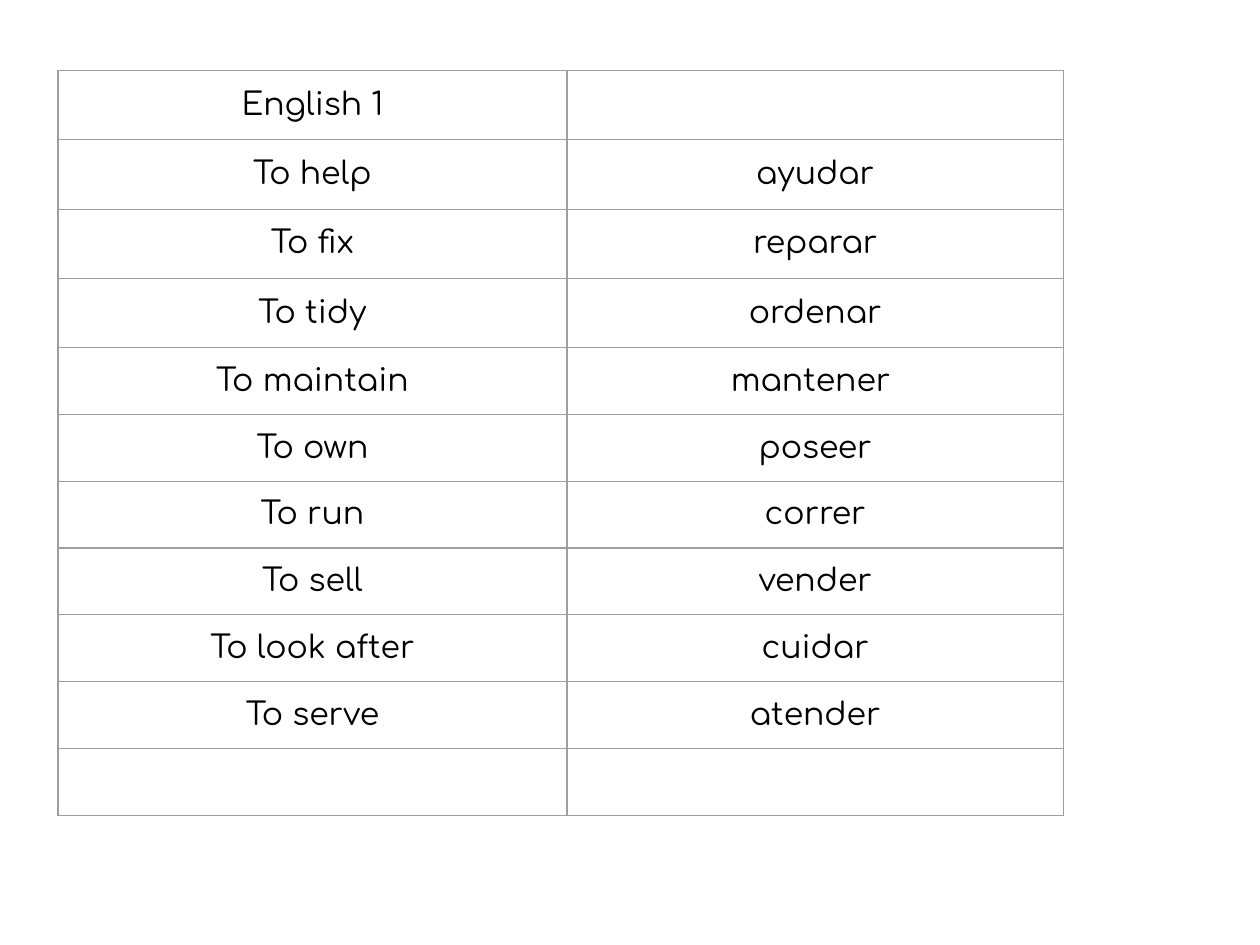
from lxml.etree import SubElement
from pptx import Presentation
from pptx.dml.color import RGBColor
from pptx.enum.text import MSO_ANCHOR, PP_ALIGN
from pptx.oxml.ns import qn
from pptx.util import Inches, Pt

COLORS = {"text": "000000", "border": "9E9E9E"}
FONT = "Comfortaa"
LEFT, TOP = 0.46, 0.56
COLUMN_WIDTHS = [4.04, 3.94]
TALL_ROWS, TALL, SHORT = 4, 0.55, 0.53
PADDING = 0.1

VOCABULARY = [
    ("English 1", ""),
    ("To help", "ayudar"),
    ("To fix", "reparar"),
    ("To tidy", "ordenar"),
    ("To maintain", "mantener "),
    ("To own", "poseer"),
    ("To run", "correr"),
    ("To sell", "vender"),
    ("To look after", "cuidar"),
    ("To serve", "atender"),
    ("", ""),
]


def write_text(frame, text, size=18, color="text", align=PP_ALIGN.CENTER):
    paragraph = frame.paragraphs[0]
    paragraph.alignment = align
    if not text:
        return
    word = paragraph.add_run()
    word.text = text
    word.font.name = FONT
    word.font.size = Pt(size)
    word.font.color.rgb = RGBColor.from_string(COLORS[color])


def add_borders(cell, color="border", width=0.75):
    properties = cell._tc.get_or_add_tcPr()
    for side in ("a:lnL", "a:lnR", "a:lnT", "a:lnB"):
        line = SubElement(properties, qn(side), w=str(Pt(width)))
        fill = SubElement(line, qn("a:solidFill"))
        SubElement(fill, qn("a:srgbClr"), val=COLORS[color])


def format_cell(cell):
    """Border the cell, clear its fill and centre its content vertically."""
    add_borders(cell)
    cell.fill.background()
    cell.vertical_anchor = MSO_ANCHOR.MIDDLE
    cell.margin_left = cell.margin_right = Inches(PADDING)
    cell.margin_top = cell.margin_bottom = Inches(PADDING)


def add_vocabulary_table(slide, entries):
    heights = [TALL if row < TALL_ROWS else SHORT for row in range(len(entries))]
    table = slide.shapes.add_table(
        len(entries), len(COLUMN_WIDTHS), Inches(LEFT), Inches(TOP),
        Inches(sum(COLUMN_WIDTHS)), Inches(sum(heights))).table
    table.first_row = table.horz_banding = False
    for column, width in zip(table.columns, COLUMN_WIDTHS):
        column.width = Inches(width)
    for row, height, entry in zip(table.rows, heights, entries):
        row.height = Inches(height)
        for cell, word in zip(row.cells, entry):
            format_cell(cell)
            write_text(cell.text_frame, word)


def main():
    deck = Presentation()
    deck.slide_width, deck.slide_height = Inches(10), Inches(7.5)
    slide = deck.slides.add_slide(deck.slide_layouts[6])
    add_vocabulary_table(slide, VOCABULARY)
    deck.save("out.pptx")


if __name__ == "__main__":
    main()
